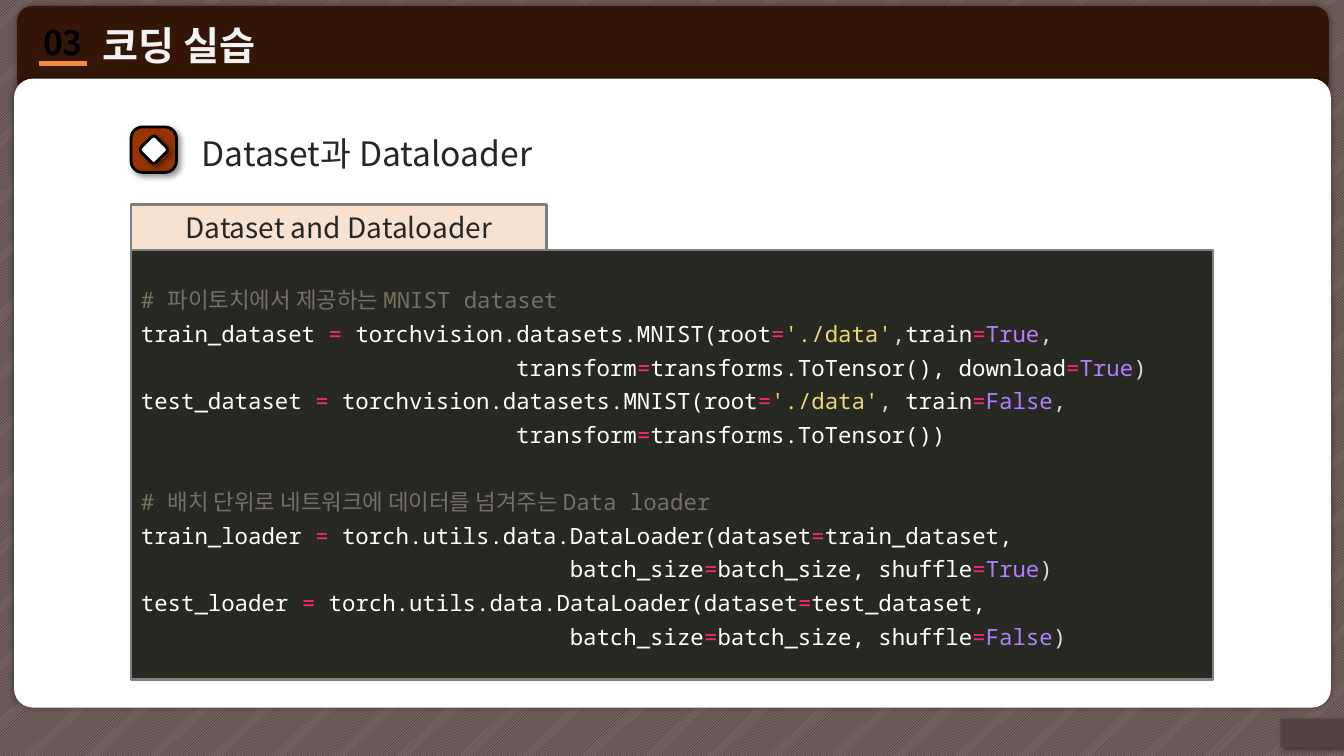
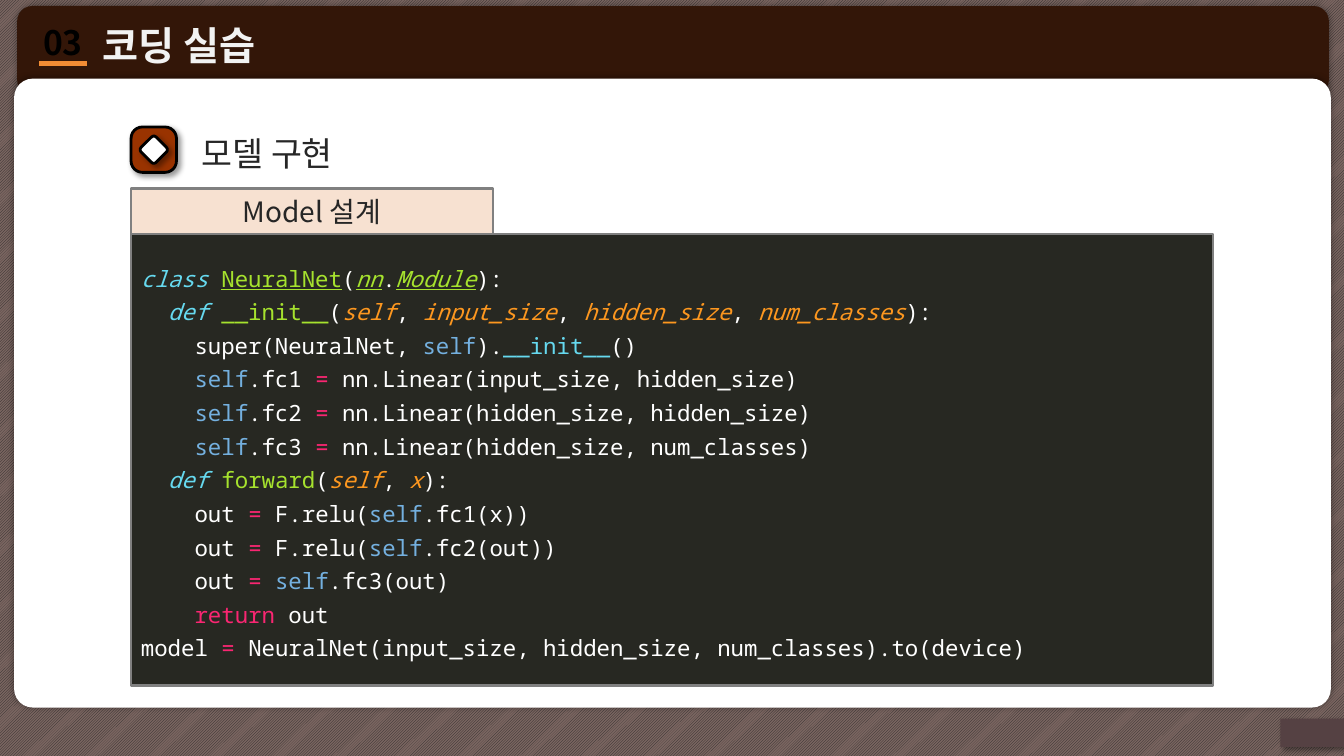
"""Build two coding-practice slides that share one framed layout."""
import pptx
import pptx.dml.color
import pptx.enum.dml
import pptx.enum.shapes
import pptx.enum.text
import pptx.oxml
import pptx.oxml.ns
import pptx.util

Inches = pptx.util.Inches
Pt = pptx.util.Pt
qn = pptx.oxml.ns.qn
color = pptx.dml.color.RGBColor.from_string
MSO_SHAPE = pptx.enum.shapes.MSO_SHAPE
MSO_ANCHOR = pptx.enum.text.MSO_ANCHOR
PP_ALIGN = pptx.enum.text.PP_ALIGN

SANS = "Noto Sans CJK KR"
MONO = "Noto Sans Mono"
DARK = "262626"
BLACK = "000000"
WHITE = "FFFFFF"
GRAY = "808080"
LEFT = 1.3
TAB_HEIGHT = 0.45
CODE_WIDTH = 10.73

CODE_STYLES = {
    "plain": (WHITE, False, False),
    "comment": ("75715E", False, False),
    "operator": ("F92672", False, False),
    "string": ("E6DB74", False, False),
    "constant": ("AE81FF", False, False),
    "mark": ("DCDCDC", False, False),
    "keyword": ("66D9EF", True, False),
    "special": ("66D9EF", False, False),
    "name": ("A6E22E", False, False),
    "class": ("A6E22E", False, True),
    "base": ("A6E22E", True, True),
    "argument": ("FD971F", True, False),
    "self": ("74B0DF", False, False),
}

PAGES = [
    {
        "title": "Dataset과 Dataloader",
        "tab": "Dataset and Dataloader",
        "tab_top": 2.03,
        "tab_width": 4.12,
        "code_height": 4.26,
        "code": [
            "[comment:# 파이토치에서 제공하는 MNIST dataset]",
            "train_dataset [operator:= ]torchvision.datasets.MNIST(root[operator:=]"
            "[string:'./data'][mark:,]train[operator:=][constant:True][mark:,]",
            "                            transform[operator:=]transforms.ToTensor(), "
            "download[operator:=][constant:True][mark:)]",
            "test_dataset [operator:= ]torchvision.datasets.MNIST(root[operator:=]"
            "[string:'./data'][mark:, ]train[operator:=][constant:False][mark:,]",
            "                            transform[operator:=]transforms.ToTensor())",
            "[comment:# 배치 단위로 네트워크에 데이터를 넘겨주는 Data loader]",
            "train_loader [operator:= ]torch.utils.data.DataLoader(dataset[operator:=]train_dataset,",
            "                                batch_size[operator:=]batch_size, "
            "shuffle[operator:=][constant:True][mark:)]",
            "test_loader [operator:= ]torch.utils.data.DataLoader(dataset[operator:=]test_dataset,",
            "                                batch_size[operator:=]batch_size, "
            "shuffle[operator:=][constant:False][mark:)]",
        ],
    },
    {
        "title": "모델 구현",
        "tab": "Model 설계",
        "tab_top": 1.87,
        "tab_width": 3.59,
        "code_height": 4.48,
        "code": [
            "[keyword:class ][class:NeuralNet]([base:nn].[base:Module]):",
            "  [keyword:def ][name:__init__]([argument:self], [argument:input_size], "
            "[argument:hidden_size], [argument:num_classes]):",
            "    super(NeuralNet, [self:self]).[special:__init__]()",
            "    [self:self].fc1 [operator:= ]nn.Linear(input_size, hidden_size)",
            "    [self:self].fc2 [operator:= ]nn.Linear(hidden_size, hidden_size)",
            "    [self:self].fc3 [operator:= ]nn.Linear(hidden_size, num_classes)",
            "  [keyword:def ][name:forward]([argument:self], [argument:x]):",
            "    out [operator:= ]F.relu([self:self].fc1(x))",
            "    out [operator:= ]F.relu([self:self].fc2(out))",
            "    out [operator:= ][self:self].fc3(out)",
            "    [operator:return ]out",
            "model [operator:= ]NeuralNet(input_size, hidden_size, num_classes).to(device)",
        ],
    },
]


def add_box(shapes, position, fill, corner=None, line=None, shadow=None):
    kind = MSO_SHAPE.RECTANGLE if corner is None else MSO_SHAPE.ROUNDED_RECTANGLE
    shape = shapes.add_shape(kind, *map(Inches, position))
    if corner is not None:
        shape.adjustments[0] = corner
    shape.fill.solid()
    shape.fill.fore_color.rgb = color(fill)
    if line:
        shape.line.color.rgb = color(line[0])
        shape.line.width = Pt(line[1])
    else:
        shape.line.fill.background()
    shape.shadow.inherit = False
    if shadow:
        blur, distance, angle = shadow
        effects = shape.element.spPr.find(qn("a:effectLst"))
        outer = effects.makeelement(qn("a:outerShdw"), {
            "blurRad": str(Pt(blur)), "dist": str(Pt(distance)),
            "dir": str(angle * 60000), "algn": "ctr", "rotWithShape": "0"})
        effects.append(outer)
        tint = pptx.oxml.ns.nsdecls("a")
        outer.append(pptx.oxml.parse_xml(
            f'<a:srgbClr {tint} val="{BLACK}"><a:alpha val="40000"/></a:srgbClr>'))
    return shape


def style_run(run, size, hex_color, font=SANS, bold=False, outline=None):
    run.font.size = Pt(size)
    run.font.name = font
    run.font.bold = bold
    run.font.color.rgb = color(hex_color)
    properties = run._r.get_or_add_rPr()
    properties.append(properties.makeelement(qn("a:ea"), {"typeface": SANS}))
    if outline:
        properties.insert(0, pptx.oxml.parse_xml(
            f'<a:ln {pptx.oxml.ns.nsdecls("a")} w="12700"><a:solidFill>'
            f'<a:srgbClr val="{outline}"/></a:solidFill></a:ln>'))


presentation = pptx.Presentation()
presentation.slide_width = Inches(13.33)
presentation.slide_height = Inches(7.5)
layout = presentation.slide_layouts[5]
for placeholder in list(layout.placeholders)[1:]:
    layout.shapes.element.remove(placeholder.element)
slides = [presentation.slides.add_slide(layout) for page in PAGES]

frame = slides[0].shapes
backdrop = add_box(frame, (-0.02, -0.09, 13.38, 7.67), "7A6560")
backdrop.fill.patterned()
backdrop.fill.pattern = pptx.enum.dml.MSO_PATTERN.LIGHT_UPWARD_DIAGONAL
backdrop.fill.fore_color.rgb = color(DARK)
backdrop.fill.back_color.rgb = color("7A6560")
add_box(frame, (0.17, 0.06, 13.01, 0.88), "331608", 0.17, shadow=(5, 0, 0))
add_box(frame, (0.14, 0.78, 13.06, 6.24), WHITE, 0.03, shadow=(5, 0, 0))
add_box(frame, (12.7, 7.13, 0.66, 0.28), "554143", 0, shadow=(4, 3, 45))

underline = frame.add_connector(
    pptx.enum.shapes.MSO_CONNECTOR.STRAIGHT,
    Inches(0.39), Inches(0.63), Inches(0.86), Inches(0.63))
underline.line.color.rgb = color("F28C34")
underline.line.width = Pt(3)
line_properties = underline.element.spPr
line_properties.append(line_properties.makeelement(qn("a:effectLst"), {}))

number = frame.add_textbox(Inches(0.3), Inches(0.17), Inches(0.65), Inches(0.5))
number.text_frame.text = "03"
number.text_frame.word_wrap = False
number.text_frame.paragraphs[0].alignment = PP_ALIGN.CENTER
style_run(number.text_frame.paragraphs[0].runs[0], 24, BLACK, bold=True, outline=WHITE)

section = frame.add_textbox(Inches(0.95), Inches(0.14), Inches(8.6), Inches(0.6))
section.text_frame.text = "코딩 실습"
section.text_frame.word_wrap = True
section.text_frame.vertical_anchor = MSO_ANCHOR.MIDDLE
section.text_frame.margin_left = Inches(0.07)
style_run(section.text_frame.paragraphs[0].runs[0], 28, "F2F2F2", bold=True, outline=DARK)

icon = frame.add_group_shape()
add_box(icon.shapes, (LEFT, 1.26, 0.45, 0.45), "993300", 0.25, (BLACK, 2), (4, 3, 45))
diamond = add_box(icon.shapes, (1.42, 1.38, 0.21, 0.21), WHITE, 0.15, (BLACK, 2), (4, 3, 45))
diamond.rotation = 45

for shape in list(frame):
    if not shape.is_placeholder:
        layout.shapes.element.append(shape.element)

for slide, page in zip(slides, PAGES):
    title = slide.shapes.title
    title.left, title.top = Inches(1.93), Inches(1.25)
    title.width, title.height = Inches(8.13), Inches(0.54)
    title_frame = title.text_frame
    title_frame.text = page["title"]
    title_frame.auto_size = pptx.enum.text.MSO_AUTO_SIZE.NONE
    title_frame.vertical_anchor = MSO_ANCHOR.MIDDLE
    title_frame.margin_left = title_frame.margin_right = Inches(0.07)
    title_frame.margin_top = title_frame.margin_bottom = Inches(0.07)
    title_frame.paragraphs[0].alignment = PP_ALIGN.LEFT
    style_run(title_frame.paragraphs[0].runs[0], 24, DARK)

    tab_position = (LEFT, page["tab_top"], page["tab_width"], TAB_HEIGHT)
    tab = add_box(slide.shapes, tab_position, "F7E1D1", line=(GRAY, 1.75))
    tab.text_frame.text = page["tab"]
    tab.text_frame.vertical_anchor = MSO_ANCHOR.MIDDLE
    tab.text_frame.paragraphs[0].alignment = PP_ALIGN.CENTER
    style_run(tab.text_frame.paragraphs[0].runs[0], 20, DARK)

    code_position = (LEFT, page["tab_top"] + TAB_HEIGHT, CODE_WIDTH, page["code_height"])
    panel = add_box(slide.shapes, code_position, "272822", line=(GRAY, 1.75))
    panel.text_frame.word_wrap = True
    panel.text_frame.vertical_anchor = MSO_ANCHOR.MIDDLE
    for index, line in enumerate(page["code"]):
        paragraph = panel.text_frame.add_paragraph() if index else panel.text_frame.paragraphs[0]
        paragraph.alignment = PP_ALIGN.LEFT
        paragraph.line_spacing = Pt(24)
        if index and line.startswith("[comment:"):
            paragraph.space_before = Pt(24)
        plain_start, *chunks = line.split("[")
        tokens = [("plain", plain_start)]
        for chunk in chunks:
            marked, _, plain = chunk.partition("]")
            style, _, text = marked.partition(":")
            tokens += [(style, text), ("plain", plain)]
        for style, text in tokens:
            if text:
                run = paragraph.add_run()
                run.text = text
                hex_color, run.font.italic, run.font.underline = CODE_STYLES[style]
                style_run(run, 16, hex_color, MONO)

presentation.save("out.pptx")
